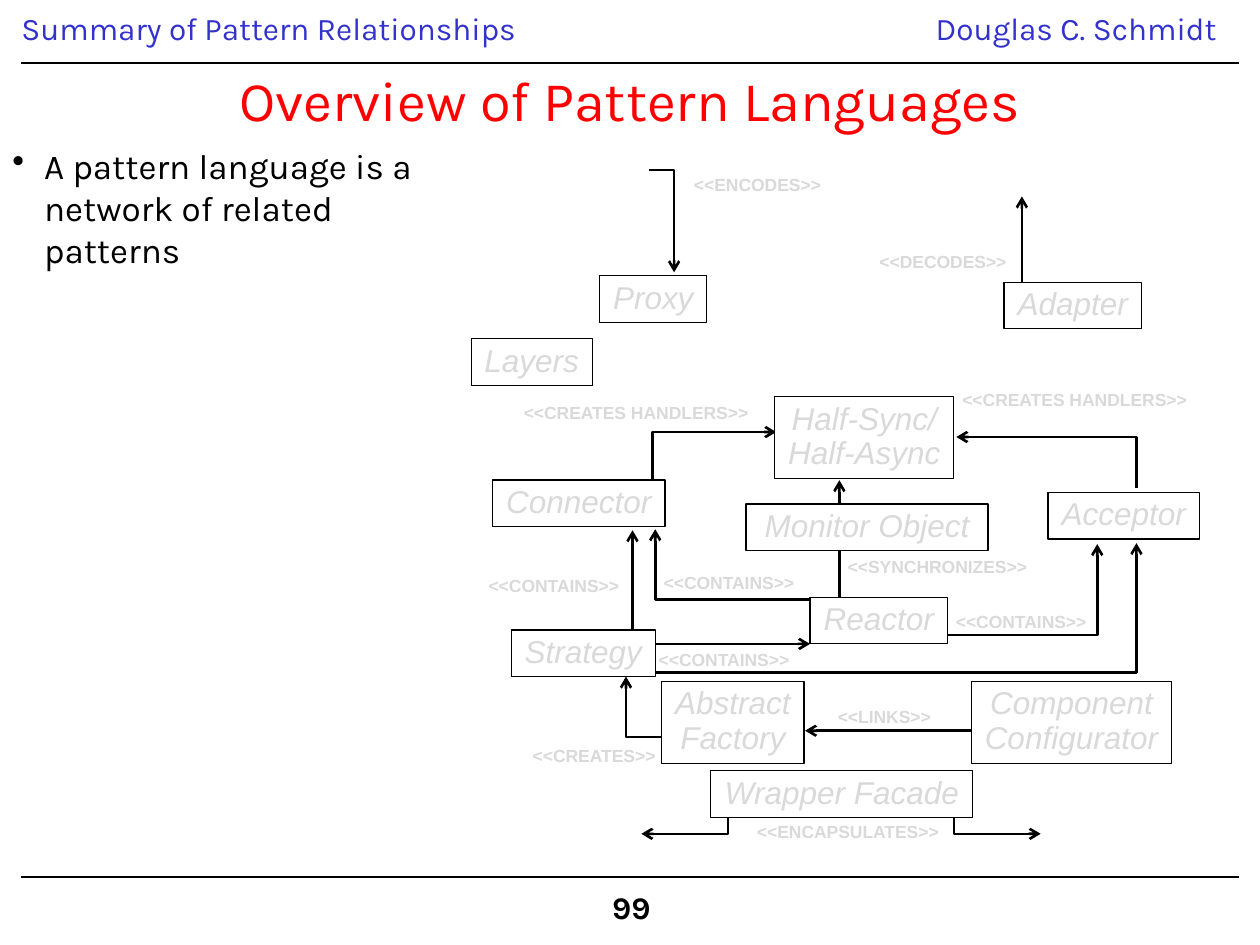
from dataclasses import dataclass

from lxml.etree import SubElement
from pptx import Presentation
from pptx.dml.color import RGBColor
from pptx.enum.shapes import MSO_CONNECTOR, MSO_SHAPE
from pptx.enum.text import MSO_ANCHOR, MSO_AUTO_SIZE, PP_ALIGN
from pptx.oxml.ns import qn
from pptx.util import Cm, Pt


@dataclass(frozen=True)
class Theme:
    heading_font: str = "Karla"
    diagram_font: str = "Arial"
    black: str = "000000"
    white: str = "FFFFFF"
    header: str = "3333CC"
    title: str = "FF0000"
    faded: str = "D9D9D9"
    title_size: int = 32
    body_size: int = 20
    normal_size: int = 18
    label_size: int = 10
    thin: float = 0.75
    thick: float = 1.5


THEME = Theme()

# Text, left, top, width, height in cm within the diagram
PATTERNS = [
    ("Acceptor", 12.13, 6.93, 3.05, 0.94),
    ("Half-Sync/\nHalf-Async", 6.62, 5, 3.61, 1.65),
    ("Strategy", 1.31, 9.7, 2.9, 0.94),
    ("Component\nConfigurator", 10.58, 10.74, 4.04, 1.65),
    ("Proxy", 3.09, 2.56, 2.16, 0.94),
    ("Layers", 0.5, 3.83, 2.44, 0.94),
    ("Abstract\nFactory", 4.34, 10.74, 2.87, 1.65),
    ("Wrapper Facade", 5.33, 12.54, 5.28, 0.94),
    ("Monitor Object", 6.04, 7.16, 4.88, 0.94),
    ("Adapter", 11.24, 2.69, 2.77, 0.94),
    ("Connector", 0.93, 6.68, 3.48, 0.94),
    ("Reactor", 7.33, 9.04, 2.77, 0.94),
]

# Text, left, top, width
RELATIONS = [
    ("CREATES HANDLERS", 10.15, 4.77, 5.13),
    ("CREATES HANDLERS", 1.31, 5.03, 5.13),
    ("CONTAINS", 0.6, 8.51, 3.2),
    ("CONTAINS", 4.03, 10, 3.2),
    ("CONTAINS", 10.02, 9.24, 3.2),
    ("CONTAINS", 4.13, 8.46, 3.2),
    ("LINKS", 7.64, 11.15, 2.41),
    ("CREATES", 1.49, 11.94, 3.05),
    ("ENCAPSULATES", 6.01, 13.48, 4.27),
    ("ENCODES", 4.74, 0.43, 3.1),
    ("DECODES", 8.48, 1.98, 3.1),
    ("SYNCHRONIZES", 7.84, 8.13, 4.17),
]

# Points from tail to head
ARROWS = [
    [(7.71, 9.09), (4.21, 9.09), (4.21, 7.67)],
    [(9.57, 9.8), (13.12, 9.8), (13.12, 7.97)],
    [(4.23, 10.56), (13.91, 10.56), (13.91, 7.95)],
    [(13.91, 6.83), (13.91, 5.81), (10.28, 5.81)],
    [(4.67, 11.86), (3.62, 11.86), (3.62, 10.64)],
    [(10.23, 12.8), (10.23, 13.81), (11.98, 13.81)],
    [(5.68, 12.8), (5.68, 13.81), (3.93, 13.81)],
    [(4.08, 0.43), (4.59, 0.43), (4.59, 2.49)],
    [(4.16, 6.68), (4.16, 5.71), (6.65, 5.71)],
    [(10.61, 11.73), (7.23, 11.73)],
    [(3.75, 9.7), (3.75, 7.69)],
    [(11.6, 3.15), (11.6, 0.96)],
    [(4.23, 9.98), (7.33, 9.98)],
    [(7.92, 9.07), (7.92, 6.68)],
]


def write(box, text, *, size=THEME.normal_size, font=THEME.heading_font,
          color=THEME.black, bold=False, italic=False, align=PP_ALIGN.LEFT,
          spacing=0.9, wrap=True, anchor=MSO_ANCHOR.TOP,
          auto_size=MSO_AUTO_SIZE.SHAPE_TO_FIT_TEXT):
    frame = box.text_frame
    frame.word_wrap = wrap
    frame.vertical_anchor = anchor
    frame.auto_size = auto_size
    para = frame.paragraphs[0]
    para.text = text
    para.alignment = align
    para.line_spacing = spacing
    for span in para.runs:
        span.font.size = Pt(size)
        span.font.name = font
        span.font.bold = bold
        span.font.italic = italic
        span.font.color.rgb = RGBColor.from_string(color)
    return para


def add_text(page, left, top, width, height, text, **style):
    box = page.shapes.add_textbox(Cm(left), Cm(top), Cm(width), Cm(height))
    write(box, text, **style)
    return box


def add_box(page, left, top, width, height, text, outlined=True, **style):
    box = page.shapes.add_shape(
        MSO_SHAPE.RECTANGLE, Cm(left), Cm(top), Cm(width), Cm(height))
    box.shadow.inherit = False
    box.fill.solid()
    box.fill.fore_color.rgb = RGBColor.from_string(THEME.white)
    if outlined:
        set_line(box, THEME.thin)
    else:
        box.line.fill.background()
    write(box, text, **style)


def set_line(shape, width, arrow=False):
    shape.line.color.rgb = RGBColor.from_string(THEME.black)
    shape.line.width = Pt(width)
    if arrow:
        SubElement(shape.line._get_or_add_ln(), qn("a:tailEnd"), type="arrow")


def add_line(page, points, width, arrow=False):
    """Draw a straight connector for two points, an open outline for more."""
    corners = [(Cm(x), Cm(y)) for x, y in points]
    if len(corners) == 2:
        line = page.shapes.add_connector(
            MSO_CONNECTOR.STRAIGHT, *corners[0], *corners[1])
        set_line(line, width, arrow)
        SubElement(line._element.spPr, qn("a:effectLst"))
    else:
        builder = page.shapes.build_freeform(*corners[0])
        builder.add_line_segments(corners[1:], close=False)
        line = builder.convert_to_shape()
        line.shadow.inherit = False
        line.fill.background()
        set_line(line, width, arrow)


def add_header(page, left, top, width, height):
    topic = add_text(page, left, top, 15.04, 0.94,
                     "Summary of Pattern Relationships", color=THEME.header)
    topic.text_frame.margin_left = topic.text_frame.margin_right = 0
    add_text(page, left + width - 6.36, top, 6.38, 1.02,
             "Douglas C. Schmidt", color=THEME.header)
    add_line(page, [(left, top + height), (left + width, top + height)], THEME.thin)


def add_footer(page, left, top, width):
    add_line(page, [(left, top), (left + width, top)], THEME.thin)
    add_box(page, left + 11.66, top + 0.18, 1.3, 1.02, "99",
            outlined=False, bold=True, wrap=False)


def place_title(page, left, top, width, height):
    title = page.shapes.title
    title.left, title.top = Cm(left), Cm(top)
    title.width, title.height = Cm(width), Cm(height)
    write(title, "Overview of Pattern Languages", size=THEME.title_size,
          color=THEME.title, align=PP_ALIGN.CENTER, spacing=1.0,
          anchor=MSO_ANCHOR.MIDDLE, auto_size=MSO_AUTO_SIZE.NONE)


def add_bullet_text(page, left, top, width, height):
    box = page.shapes.add_textbox(Cm(left), Cm(top), Cm(width), Cm(height))
    para = write(box, "A pattern language is a network of related patterns",
                 size=THEME.body_size, spacing=1.0)
    properties = para._p.get_or_add_pPr()
    properties.set("marL", str(Cm(0.64)))
    properties.set("indent", str(-Cm(0.64)))
    SubElement(properties, qn("a:buChar"), char="•")


def add_diagram(page, left, top):
    for points in ARROWS:
        add_line(page, [(left + x, top + y) for x, y in points],
                 THEME.thick, arrow=True)
    faded = dict(font=THEME.diagram_font, color=THEME.faded, wrap=False)
    for name, x, y, width, height in PATTERNS:
        add_box(page, left + x, top + y, width, height, name,
                italic=True, align=PP_ALIGN.CENTER, **faded)
    for name, x, y, width in RELATIONS:
        add_text(page, left + x, top + y, width, 0.64, f"<<{name}>>",
                 size=THEME.label_size, bold=True, **faded)


def main():
    deck = Presentation()
    deck.slide_width, deck.slide_height = Cm(25.4), Cm(19.05)
    page = deck.slides.add_slide(deck.slide_layouts[5])
    add_header(page, 0.43, 0.15, 24.54, 1.12)
    add_footer(page, 0.43, 17.68, 24.54)
    place_title(page, 0.43, 1.47, 24.56, 1.07)
    add_bullet_text(page, 0, 2.79, 9.27, 7.09)
    add_diagram(page, 9, 3)
    deck.save("out.pptx")


if __name__ == "__main__":
    main()
